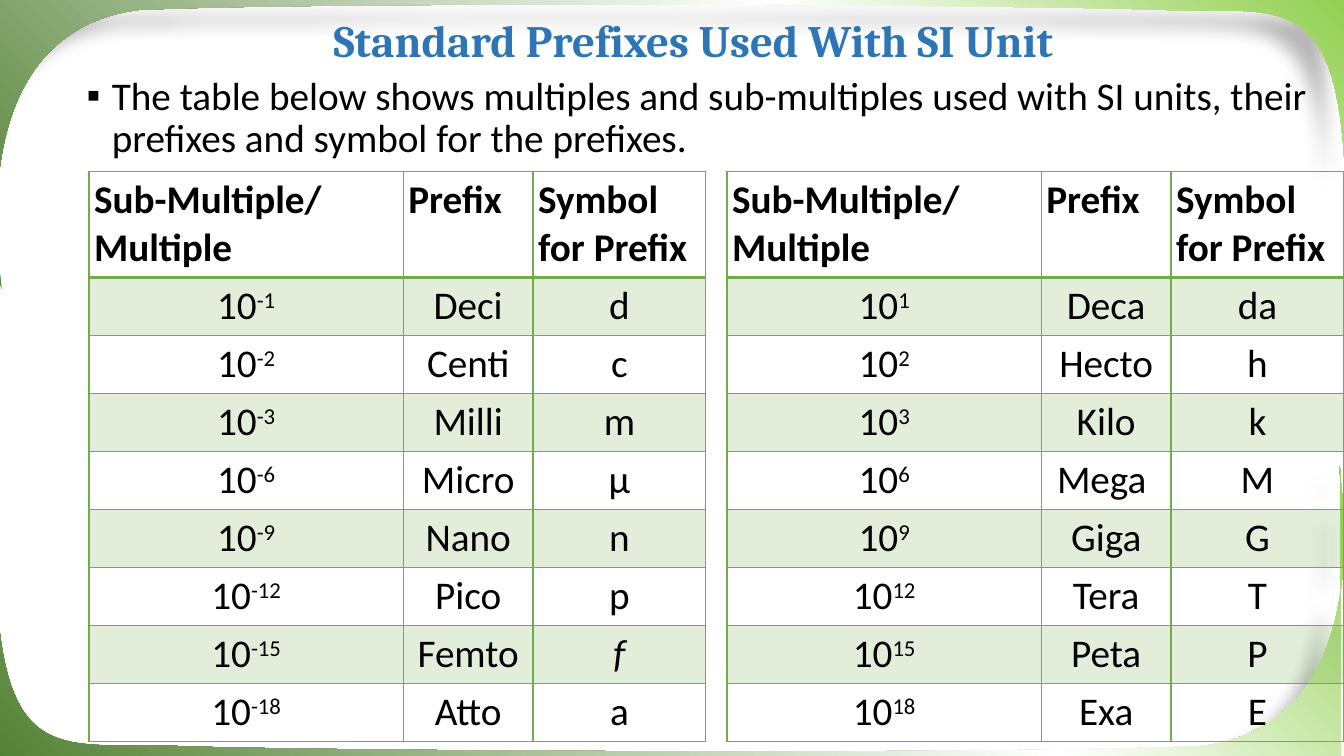
from lxml.etree import SubElement as Sub
from pptx import Presentation
from pptx.dml.color import RGBColor
from pptx.enum.text import MSO_ANCHOR as Anchor, MSO_AUTO_SIZE as Auto, PP_ALIGN as Align
from pptx.oxml import parse_xml
from pptx.oxml.ns import nsdecls, qn
from pptx.util import Pt

GREEN = "70AD47"
START = (960, 0)
CURVES = [
    [(960.5, 62), (960.5, 124), (961, 185)],
    [(965.5, -14.4), (923.8, 10), (833, 7.2)],
    [(742, 3.6), (239.8, 0.7), (98.6, 7.2)],
    [(-44, 26), (9.4, 236), (0, 203)],
]
HEAD = ["Sub-Multiple/Multiple", "Prefix", "Symbol for Prefix"]
SMALL = [
    ("-1", "Deci", "d"), ("-2", "Centi", "c"), ("-3", "Milli", "m"), ("-6", "Micro", "µ"),
    ("-9", "Nano", "n"), ("-12", "Pico", "p"), ("-15", "Femto", "f"), ("-18", "Atto", "a"),
]
LARGE = [
    ("1", "Deca", "da"), ("2", "Hecto", "h"), ("3", "Kilo", "k"), ("6", "Mega ", "M"),
    ("9", "Giga", "G"), ("12", "Tera", "T"), ("15", "Peta", "P"), ("18", "Exa", "E"),
]


def hue(code):
    return RGBColor.from_string(code)


def style(font, name, size, code, bold=False):
    font.name, font.size, font.bold = name, Pt(size), bold
    font.color.rgb = hue(code)


def place(shape, box):
    shape.left, shape.top, shape.width, shape.height = map(Pt, box)


def wave(slide, box, flip):
    left, top, wide, high = box

    def spot(dot):
        x, y = dot[0] + 2.2, dot[1]
        return (Pt(wide - x), Pt(high - y)) if flip else (Pt(x), Pt(y))

    ends = [spot(dot) for dot in [START] + [ctrl[-1] for ctrl in CURVES]]
    pen = slide.shapes.build_freeform(*spot((0, 0)), scale=1.0)
    pen.add_line_segments(ends)
    shape = pen.convert_to_shape()
    place(shape, box)
    props = shape.element.spPr
    track = props.find(".//" + qn("a:path"))
    track.set("w", str(Pt(wide)))
    track.set("h", str(Pt(high)))
    for old in list(track):
        track.remove(old)
    moves = [("moveTo", [(0, 0)]), ("lnTo", [START])]
    moves += [("cubicBezTo", ctrl) for ctrl in CURVES]
    for tag, dots in moves:
        move = Sub(track, qn("a:" + tag))
        for x, y in map(spot, dots):
            Sub(move, qn("a:pt"), x=str(x), y=str(y))
    Sub(track, qn("a:close"))
    shape.line.fill.background()
    line = props.find(qn("a:ln"))
    stops = "".join(f'<a:gs pos="{pos}000"><a:srgbClr val="{code}"/></a:gs>'
                    for pos, code in ((0, "92D050"), (35, "FFFFFF"), (100, "548235")))
    line.addprevious(parse_xml(
        f'<a:gradFill {nsdecls("a")} rotWithShape="1"><a:gsLst>{stops}</a:gsLst>'
        '<a:path path="circle"><a:fillToRect l="100000" b="100000"/></a:path></a:gradFill>'))
    line.addnext(parse_xml(
        f'<a:effectLst {nsdecls("a")}><a:outerShdw blurRad="{Pt(11.8)}" dist="{Pt(19.7)}" '
        f'dir="{141 * 60000}" algn="ctr" rotWithShape="0"><a:srgbClr val="000000">'
        '<a:alpha val="28000"/></a:srgbClr></a:outerShdw></a:effectLst>'))
    shape.element.getparent().insert(2, shape.element)


def title(slide, box):
    shape = slide.shapes.title
    place(shape, box)
    frame = shape.text_frame
    frame.text = "Standard Prefixes Used With SI Unit"
    frame.auto_size, frame.vertical_anchor = Auto.NONE, Anchor.MIDDLE
    para = frame.paragraphs[0]
    para.alignment, para.line_spacing = Align.CENTER, 0.9
    style(para.font, "Cambria", 32, "2E75B6", True)


def body(slide, box):
    shape = slide.placeholders[1]
    place(shape, box)
    frame = shape.text_frame
    frame.text = ("The table below shows multiples and sub-multiples used with SI units, "
                  "their prefixes and symbol for the prefixes.")
    frame.auto_size, frame.vertical_anchor = Auto.NONE, Anchor.TOP
    para = frame.paragraphs[0]
    para.line_spacing, para.space_before = 0.9, Pt(0)
    props = para._p.get_or_add_pPr()
    props.set("marL", str(Pt(18)))
    props.set("indent", str(Pt(-18)))
    Sub(props, qn("a:buFont"), typeface="Arial")
    Sub(props, qn("a:buChar"), char="▪")
    Sub(Sub(props, qn("a:tabLst")), qn("a:tab"), pos=str(Pt(42)), algn="l")
    style(para.font, "Calibri", 28, "000000")


def edge(cell, row):
    props = cell._tc.get_or_add_tcPr()
    for i, side in enumerate("LRTB"):
        thick = (row, side) in ((0, "B"), (1, "T"))
        props.insert(i, parse_xml(
            f'<a:ln{side} {nsdecls("a")} w="{Pt(2 if thick else 1)}"><a:solidFill>'
            f'<a:srgbClr val="{GREEN}"/></a:solidFill></a:ln{side}>'))


def tint(cell, row):
    if row % 2 == 0:
        cell.fill.background()
        return
    cell.fill.solid()
    cell.fill.fore_color.rgb = hue(GREEN)
    Sub(cell._tc.tcPr.find(".//" + qn("a:srgbClr")), qn("a:alpha"), val="20000")


def fill_in(cell, text, row, col):
    cell.margin_left = cell.margin_right = cell.margin_top = cell.margin_bottom = Pt(3.6)
    para = cell.text_frame.paragraphs[0]
    para.alignment = Align.CENTER if row else Align.LEFT
    style(para.font, "Calibri", 28, "000000", row == 0)
    if row and col == 0:
        para.add_run().text = "10"
        power = para.add_run()
        power.text = text
        power._r.get_or_add_rPr().set("baseline", "30000")
    else:
        para.add_run().text = text
        if text == "f":
            para.font.italic = True


def grid(slide, box, data):
    rows = [HEAD] + data
    frame = slide.shapes.add_table(len(rows), len(HEAD), *map(Pt, box))
    table = frame.table
    table.first_row = table.horz_banding = False
    for col, size in zip(table.columns, (224.5, 92.7, 123.4)):
        col.width = Pt(size)
    for r, texts in enumerate(rows):
        table.rows[r].height = Pt(29.5)
        for c, text in enumerate(texts):
            cell = table.cell(r, c)
            fill_in(cell, text, r, c)
            tint(cell, r)
            edge(cell, r)
    place(frame, box)


def main():
    deck = Presentation()
    deck.slide_width, deck.slide_height = Pt(960), Pt(540)
    slide = deck.slides.add_slide(deck.slide_layouts[1])
    wave(slide, (-3.4, 333.4, 963.4, 206.6), True)
    wave(slide, (-2.2, 0, 963.4, 206.6), False)
    title(slide, (92.9, 9.4, 805, 43.2))
    body(slide, (54.7, 51.1, 893.5, 455.8))
    grid(slide, (63.6, 122.5, 440.6, 401), SMALL)
    grid(slide, (519.3, 122.5, 440.6, 401), LARGE)
    deck.save("out.pptx")


if __name__ == "__main__":
    main()
